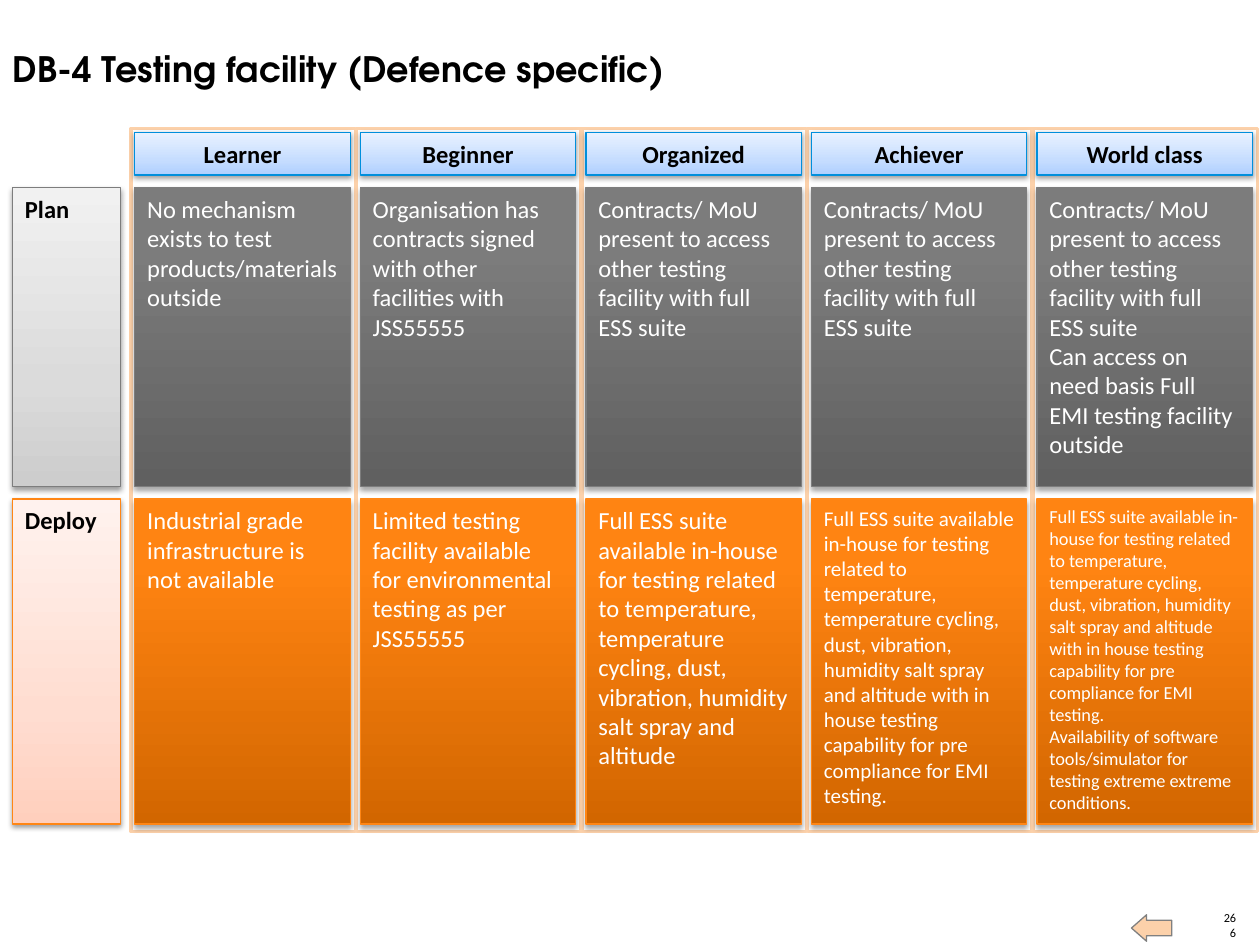
from dataclasses import dataclass

from lxml import etree
from pptx import Presentation, util as u
from pptx.dml.color import RGBColor
from pptx.enum import shapes, text
from pptx.oxml.ns import qn

FIRST_COLUMN, PITCH, CELL_WIDTH = 1.07, 1.79, 1.71
HEADER_TOP, HEADER_HEIGHT = 1.05, 0.34
LABEL_LEFT, LABEL_WIDTH = 0.1, 0.86
FRAME_MARGIN, FRAME_WIDTH, FRAME_HEIGHT = 0.03, 1.78, 5.58


@dataclass
class Style:
    stops: tuple
    line: str
    font: str
    bold: bool = True
    opacity: int = 38
    distance: float = 1.6


@dataclass
class Stage:
    name: str
    plan: tuple
    deploy: tuple
    deploy_size: float = 14


@dataclass
class Row:
    name: str
    top: float
    height: float
    label: Style
    cell: Style


HEADER = Style(((0, "AECFFF"), (35, "C6DDFF"), (100, "E9F2FF")), "008FDC", "000000")
GREY_LABEL = Style(((0, "CDCDCD"), (35, "DBDBDB"), (100, "F1F1F1")), "7D7D7D", "000000")
ORANGE_LABEL = Style(((0, "FFCFBD"), (35, "FFDDD1"), (100, "FFF2EE")), "FF8615", "000000")
GREY_CELL = Style(((0, "606060"), (80, "7C7C7C"), (100, "7D7D7D")), "7D7D7D", "FFFFFF", False, 35, 1.8)
ORANGE_CELL = Style(((0, "D26600"), (80, "FF8412"), (100, "FF8514")), "FF8615", "FFFFFF", False, 35, 1.8)

PLAN = Row("Plan", 1.49, 2.37, GREY_LABEL, GREY_CELL)
DEPLOY = Row("Deploy", 3.96, 2.58, ORANGE_LABEL, ORANGE_CELL)

CONTRACTS = "Contracts/ MoU present to access other testing facility with full ESS suite"
FULL_SUITE = ("Full ESS suite available in-house for testing related to temperature, "
              "temperature cycling, dust, vibration, humidity salt spray and altitude")
PRE_COMPLIANCE = FULL_SUITE + " with in house testing capability for pre compliance for EMI testing."

STAGES = [
    Stage("Learner",
          ("No mechanism exists to test products/materials outside",),
          ("Industrial grade infrastructure is not available",)),
    Stage("Beginner",
          ("Organisation has contracts signed with other facilities with JSS55555",),
          ("Limited testing facility available for environmental testing as per JSS55555",)),
    Stage("Organized", (CONTRACTS,), (FULL_SUITE,)),
    Stage("Achiever", (CONTRACTS,), (PRE_COMPLIANCE,), 12),
    Stage("World class",
          (CONTRACTS, "Can access on need basis Full EMI testing facility outside"),
          (PRE_COMPLIANCE,
           "Availability of software tools/simulator for testing extreme extreme conditions."),
          10.5),
]


def rgb(value: str) -> RGBColor:
    return RGBColor.from_string(value)


def inches(*lengths: float) -> list:
    return [u.Inches(length) for length in lengths]


def write(frame, paragraphs: tuple, size: float, color: str, bold: bool = False,
          align=text.PP_ALIGN.LEFT, anchor=text.MSO_ANCHOR.TOP, face: str = "Calibri") -> None:
    frame.word_wrap = True
    frame.auto_size = text.MSO_AUTO_SIZE.NONE
    frame.vertical_anchor = anchor
    frame.text = "\n".join(paragraphs)
    for paragraph in frame.paragraphs:
        paragraph.alignment = align
        paragraph.font.name = face
        paragraph.font.size = u.Pt(size)
        paragraph.font.bold = bold
        paragraph.font.color.rgb = rgb(color)


def add_plain(slide, kind, box: tuple, fill: str, line: str, width: float):
    plain = slide.shapes.add_shape(kind, *inches(*box))
    plain.shadow.inherit = False
    plain.fill.solid()
    plain.fill.fore_color.rgb = rgb(fill)
    plain.line.color.rgb = rgb(line)
    plain.line.width = u.Pt(width)
    return plain


def add_color(parent, value: str):
    return etree.SubElement(parent, qn("a:srgbClr"), val=value)


def add_cell(slide, box: tuple, style: Style, paragraphs: tuple, size: float = 14,
             align=text.PP_ALIGN.LEFT, anchor=text.MSO_ANCHOR.TOP) -> None:
    cell = add_plain(slide, shapes.MSO_SHAPE.RECTANGLE, box, style.line, style.line, 0.75)
    cell.fill.gradient()
    cell.fill.gradient_angle = 90
    properties = cell._element.spPr
    stop_list = properties.find(qn("a:gradFill")).find(qn("a:gsLst"))
    for old_stop in list(stop_list):
        stop_list.remove(old_stop)
    for position, color in style.stops:
        add_color(etree.SubElement(stop_list, qn("a:gs"), pos=str(position * 1000)), color)
    shadow = etree.SubElement(properties.find(qn("a:effectLst")), qn("a:outerShdw"),
                              blurRad=str(u.Pt(3.1)), dist=str(u.Pt(style.distance)),
                              dir="5400000", rotWithShape="0")
    etree.SubElement(add_color(shadow, "000000"), qn("a:alpha"), val=str(style.opacity * 1000))
    write(cell.text_frame, paragraphs, size, style.font, style.bold, align, anchor)


def column_left(column: int) -> float:
    return FIRST_COLUMN + column * PITCH


def add_footer(slide) -> None:
    number = slide.shapes.add_textbox(*inches(9.69, 7.34, 0.12, 0.12)).text_frame
    number.margin_left = number.margin_right = number.margin_top = number.margin_bottom = 0
    write(number, ("266",), 7, "000000", align=text.PP_ALIGN.RIGHT, anchor=text.MSO_ANCHOR.BOTTOM)
    back = add_plain(slide, shapes.MSO_SHAPE.RIGHT_ARROW, (8.98, 7.26, 0.32, 0.21),
                     "FCD1AA", "808080", 0.75)
    back.rotation = 180
    back.adjustments[0], back.adjustments[1] = 0.59, 0.57


def add_title(slide) -> None:
    title = slide.shapes.title
    title.left, title.top, title.width, title.height = inches(0, 0.33, 8.6, 0.44)
    write(title.text_frame, ("DB-4 Testing facility (Defence specific)",), 20, "000000", True,
          face="TeX Gyre Adventor")


def add_matrix(slide) -> None:
    for row in (PLAN, DEPLOY):
        add_cell(slide, (LABEL_LEFT, row.top, LABEL_WIDTH, row.height), row.label, (row.name,))
    for column in range(len(STAGES)):
        add_plain(slide, shapes.MSO_SHAPE.RECTANGLE,
                  (column_left(column) - FRAME_MARGIN, HEADER_TOP - FRAME_MARGIN,
                   FRAME_WIDTH, FRAME_HEIGHT), "FFFFFF", "FCD1AA", 2)
    for column, stage in enumerate(STAGES):
        left = column_left(column)
        for row, paragraphs, size in ((PLAN, stage.plan, 14),
                                      (DEPLOY, stage.deploy, stage.deploy_size)):
            add_cell(slide, (left, row.top, CELL_WIDTH, row.height), row.cell, paragraphs, size)
        add_cell(slide, (left, HEADER_TOP, CELL_WIDTH, HEADER_HEIGHT), HEADER, (stage.name,),
                 align=text.PP_ALIGN.CENTER, anchor=text.MSO_ANCHOR.MIDDLE)


def main() -> None:
    deck = Presentation()
    deck.slide_width, deck.slide_height = inches(10, 7.5)
    slide = deck.slides.add_slide(deck.slide_layouts[5])
    add_footer(slide)
    add_title(slide)
    add_matrix(slide)
    deck.save("out.pptx")


if __name__ == "__main__":
    main()
